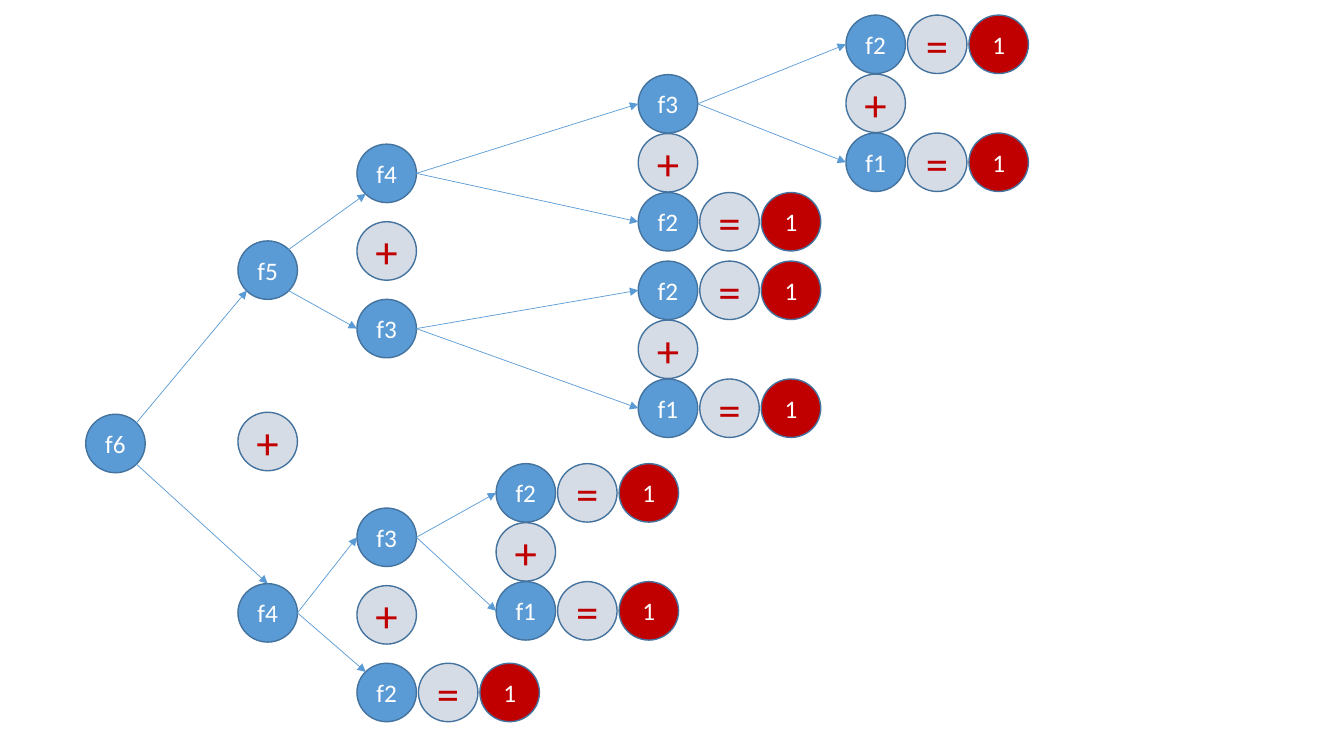
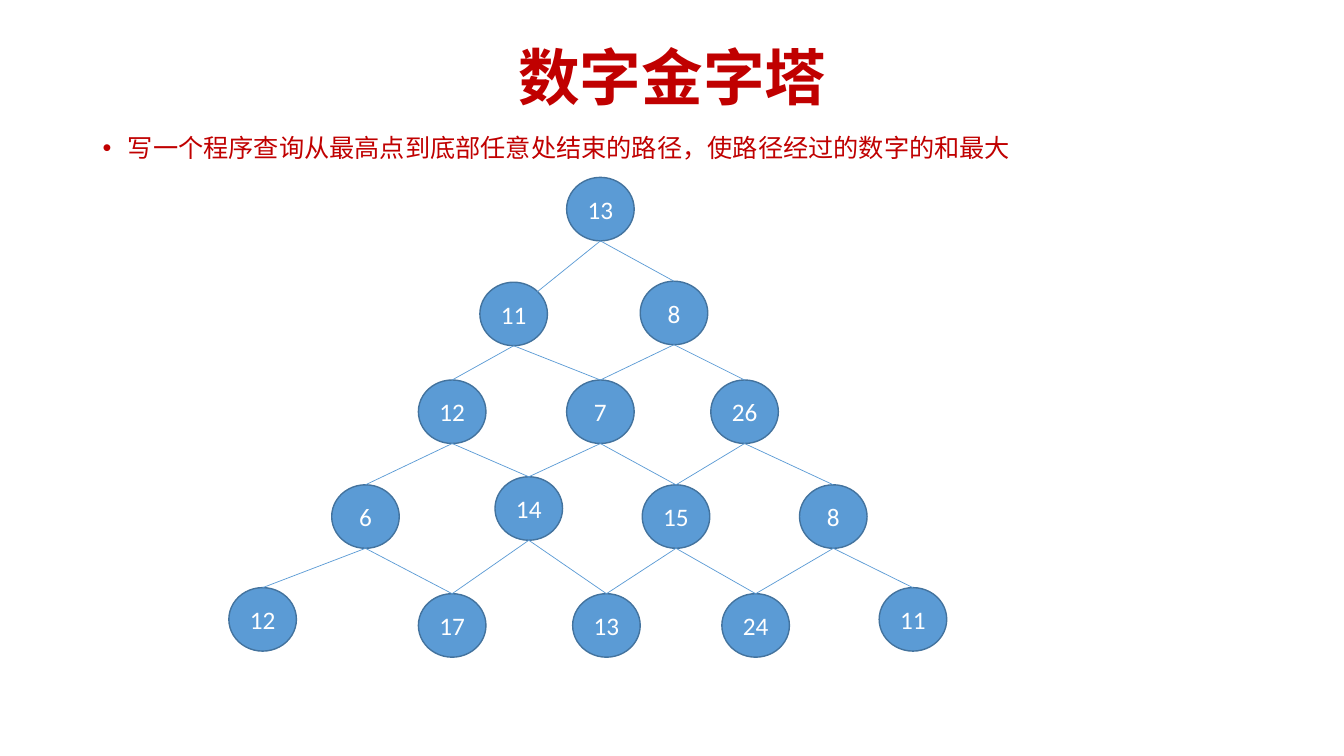
from lxml.etree import SubElement
from pptx import Presentation
from pptx.dml.color import RGBColor
from pptx.enum.shapes import MSO_CONNECTOR, MSO_SHAPE
from pptx.enum.text import MSO_ANCHOR, PP_ALIGN
from pptx.oxml.ns import qn
from pptx.util import Inches, Pt

color = RGBColor.from_string
BLUE, OUTLINE, GREY, RED, WHITE = "5B9BD5", "43739E", "D6DCE5", "C00000", "FFFFFF"
LATIN, CHINESE = "Calibri", "Noto Sans CJK SC"

# Circle kinds: fill, text colour, text size
CALL = (BLUE, WHITE, 18)
OPERATOR = (GREY, RED, 32)
RESULT = (RED, WHITE, 18)

# Points on a circle's edge as shares of its width and height
NEAR, FAR = 0.15, 0.85
TOP, BOTTOM, LEFT, RIGHT = (0.5, 0), (0.5, 1), (0, 0.5), (1, 0.5)
TOP_LEFT, TOP_RIGHT = (NEAR, NEAR), (FAR, NEAR)
BOTTOM_LEFT, BOTTOM_RIGHT = (NEAR, FAR), (FAR, FAR)


def add_circle(slide, text, left, top, size, kind):
    """Add a circle with centred text; lengths are in inches."""
    fill, text_color, text_size = kind
    circle = slide.shapes.add_shape(
        MSO_SHAPE.FLOWCHART_CONNECTOR, Inches(left), Inches(top), *map(Inches, size))
    circle.shadow.inherit = False
    circle.fill.solid()
    circle.fill.fore_color.rgb = color(fill)
    circle.line.color.rgb = color(OUTLINE)
    circle.line.width = Pt(1)
    frame = circle.text_frame
    frame.word_wrap = False
    frame.vertical_anchor = MSO_ANCHOR.MIDDLE
    paragraph = frame.paragraphs[0]
    paragraph.alignment = PP_ALIGN.CENTER
    run = paragraph.add_run()
    run.text = text
    run.font.name = LATIN
    run.font.size = Pt(text_size)
    run.font.color.rgb = color(text_color)
    return circle


def add_link(slide, source, source_point, target, target_point, arrow=False):
    """Draw a thin line between edge points of two circles."""
    ends = []
    for circle, (across, down) in ((source, source_point), (target, target_point)):
        ends += [circle.left + int(circle.width * across),
                 circle.top + int(circle.height * down)]
    connector = slide.shapes.add_connector(MSO_CONNECTOR.STRAIGHT, *ends)
    connector.line.color.rgb = color(BLUE)
    connector.line.width = Pt(0.5)
    if arrow:
        SubElement(connector.get_or_add_ln(), qn("a:tailEnd"), type="triangle")
    SubElement(connector.element.spPr, qn("a:effectLst"))


presentation = Presentation()
presentation.slide_width = Inches(13.33)
presentation.slide_height = Inches(7.5)
title_only, blank = presentation.slide_layouts[5], presentation.slide_layouts[6]

# Slide 1: call tree of a recursive sum
tree_slide = presentation.slides.add_slide(blank)
CALL_SIZE = (0.59, 0.58)
CHAIN_STEP = 0.61
COLUMNS = (0.85, 2.36, 3.54, 4.92, 6.33, 8.39)

# Each call is named by its way from the root: u for up, d for down
calls = {
    "": ("f6", 0, 4.11),
    "u": ("f5", 1, 2.39), "d": ("f4", 1, 5.79),
    "uu": ("f4", 2, 1.43), "ud": ("f3", 2, 2.97),
    "du": ("f3", 2, 5.04), "dd": ("f2", 2, 6.58),
    "uuu": ("f3", 4, 0.74), "uud": ("f2", 4, 1.91),
    "udu": ("f2", 4, 2.59), "udd": ("f1", 4, 3.76),
    "duu": ("f2", 3, 4.6), "dud": ("f1", 3, 5.77),
    "uuuu": ("f2", 5, 0.15), "uuud": ("f1", 5, 1.32),
}
# Arrows that do not run from the right edge to the left edge
arrow_points = {
    "u": (TOP_RIGHT, BOTTOM_LEFT), "d": (BOTTOM_RIGHT, TOP),
    "uu": (TOP_RIGHT, BOTTOM_LEFT), "ud": (BOTTOM_RIGHT, LEFT),
    "dd": (RIGHT, TOP_LEFT),
}

circles = {}
for way, (label, column, top) in calls.items():
    left = COLUMNS[column]
    circles[way] = add_circle(tree_slide, label, left, top, CALL_SIZE, CALL)
    if way + "u" in calls:
        upper, lower = calls[way + "u"], calls[way + "d"]
        add_circle(tree_slide, "+", COLUMNS[upper[1]], (upper[2] + lower[2]) / 2,
                   CALL_SIZE, OPERATOR)
    else:
        for step, (text, kind) in enumerate((("=", OPERATOR), ("1", RESULT)), 1):
            add_circle(tree_slide, text, left + step * CHAIN_STEP, top, CALL_SIZE, kind)
    if way:
        start, end = arrow_points.get(way, (RIGHT, LEFT))
        add_link(tree_slide, circles[way[:-1]], start, circles[way], end, arrow=True)

# Slide 2: number pyramid
pyramid_slide = presentation.slides.add_slide(title_only)
title = pyramid_slide.shapes.title
title.left, title.top, title.width, title.height = map(Inches, (0.92, 0.4, 11.5, 0.79))
task = pyramid_slide.shapes.add_textbox(*map(Inches, (0.92, 1.3, 11.5, 0.45)))
task.text_frame.word_wrap = True
title.text_frame.vertical_anchor = MSO_ANCHOR.MIDDLE

for shape, text, size, bold, alignment in (
    (title, "数字金字塔", 44, True, PP_ALIGN.CENTER),
    (task, "写一个程序查询从最高点到底部任意处结束的路径，使路径经过的数字的和最大",
     18, False, PP_ALIGN.LEFT),
):
    paragraph = shape.text_frame.paragraphs[0]
    paragraph.alignment = alignment
    paragraph.line_spacing = 0.9
    run = paragraph.add_run()
    run.text = text
    run.font.name = CHINESE
    run.font.size = Pt(size)
    run.font.bold = bold
    run.font.color.rgb = color(RED)
    SubElement(run.font._element, qn("a:ea"), typeface=CHINESE)

bullet_paragraph = task.text_frame.paragraphs[0]
bullet_paragraph.space_before = Pt(10)
properties = bullet_paragraph._p.get_or_add_pPr()
properties.set("marL", str(Inches(0.25)))
properties.set("indent", str(-Inches(0.25)))
SubElement(properties, qn("a:buFont"), typeface="Arial")
SubElement(properties, qn("a:buChar"), char="•")

NUMBER_SIZE = (0.67, 0.63)
# Each number: text, left, top
pyramid = (
    (("13", 5.62, 1.76),),
    (("11", 4.76, 2.8), ("8", 6.35, 2.79)),
    (("12", 4.15, 3.77), ("7", 5.62, 3.77), ("26", 7.05, 3.77)),
    (("6", 3.29, 4.81), ("14", 4.91, 4.73), ("15", 6.37, 4.81), ("8", 7.93, 4.81)),
    (("12", 2.27, 5.83), ("17", 4.15, 5.89), ("13", 5.68, 5.89), ("24", 7.16, 5.89),
     ("11", 8.72, 5.83)),
)
rows = [[add_circle(pyramid_slide, *number, NUMBER_SIZE, CALL) for number in row]
        for row in pyramid]
for level, (upper_row, lower_row) in enumerate(zip(rows, rows[1:])):
    for index, parent in enumerate(upper_row):
        for child in (index, index + 1):
            end = TOP_RIGHT if level == child == 0 else TOP
            add_link(pyramid_slide, parent, BOTTOM, lower_row[child], end)

presentation.save("out.pptx")
